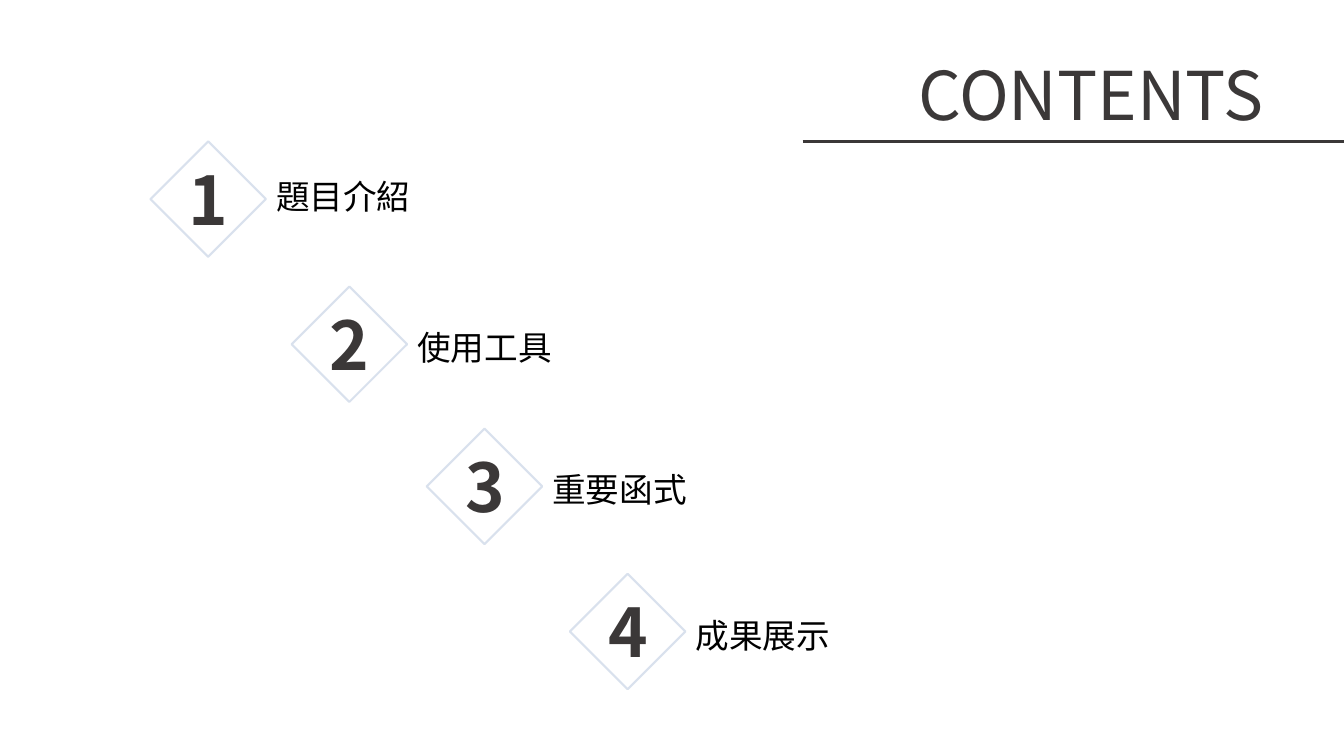
from lxml import etree
from pptx import Presentation
from pptx.dml import color
from pptx.enum import shapes, text
from pptx.oxml import ns
from pptx.util import Inches, Pt

SANS = "Noto Sans CJK SC"
DARK = "3B3838"
# number, label, label font, left, top, label drop, label width
ITEMS = [
    ("1", "題目介紹", "Cambria", 1.57, 1.47, 0.23, 3.05),
    ("2", "使用工具", SANS, 2.97, 2.91, 0.28, 3.21),
    ("3", "重要函式", SANS, 4.31, 4.32, 0.28, 3.05),
    ("4", "成果展示", SANS, 5.73, 5.76, 0.29, 3.05),
]


def rgb(value):
    return color.RGBColor.from_string(value)


def write(shape, words, size, font=SANS, fill="000000", bold=False,
          align=text.PP_ALIGN.LEFT, anchor=text.MSO_ANCHOR.TOP):
    frame = shape.text_frame
    frame.word_wrap = True
    frame.vertical_anchor = anchor
    para = frame.paragraphs[0]
    para.alignment = align
    span = para.add_run()
    span.text = words
    span.font.size = Pt(size)
    span.font.bold = bold
    span.font.name = font
    span.font.color.rgb = rgb(fill)
    east_asian = etree.SubElement(span.font._element, ns.qn("a:ea"))
    east_asian.set("typeface", SANS)


def add_box(group, left, top, width, height):
    return group.shapes.add_textbox(
        Inches(left), Inches(top), Inches(width), Inches(height))


def add_plain(group, kind, left, top, side):
    """Add a square-sized shape with no fill and no shadow."""
    shape = group.shapes.add_shape(
        kind, Inches(left), Inches(top), Inches(side), Inches(side))
    shape.shadow.inherit = False
    shape.fill.background()
    return shape


def add_heading(page, left, top, width, height):
    group = page.shapes.add_group_shape()
    title = add_box(group, left, top, width, height)
    write(title, "CONTENTS", 48, fill=DARK, align=text.PP_ALIGN.CENTER)
    rule_top = Inches(top + 0.92)
    rule = group.shapes.add_connector(
        shapes.MSO_CONNECTOR.STRAIGHT, Inches(left + 0.17), rule_top,
        Inches(left + 5.77), rule_top)
    rule.line.color.rgb = rgb(DARK)
    rule.line.width = Pt(2)
    etree.SubElement(rule._element.spPr, ns.qn("a:effectLst"))


def add_item(page, number, label, font, left, top, drop, width):
    group = page.shapes.add_group_shape()
    diamond = add_plain(group, shapes.MSO_SHAPE.RECTANGLE,
                        left + 0.09, top + 0.1, 0.81)
    diamond.rotation = 315
    diamond.line.color.rgb = rgb("B6C6DD")
    diamond.line.width = Pt(1.5)
    tint = diamond.line._ln.find(".//" + ns.qn("a:srgbClr"))
    etree.SubElement(tint, ns.qn("a:alpha")).set("val", "51000")

    circle = add_plain(group, shapes.MSO_SHAPE.OVAL, left, top, 1)
    circle.line.fill.background()
    write(circle, number, 48, fill=DARK, bold=True,
          align=text.PP_ALIGN.CENTER, anchor=text.MSO_ANCHOR.MIDDLE)

    caption = add_box(group, left + 1.07, top + drop, width, 0.5)
    write(caption, label, 24, font=font)
    caption.text_frame.auto_size = text.MSO_AUTO_SIZE.SHAPE_TO_FIT_TEXT


def main():
    deck = Presentation()
    deck.slide_width = Inches(13.33)
    deck.slide_height = Inches(7.5)
    page = deck.slides.add_slide(deck.slide_layouts[6])
    add_heading(page, 7.79, 0.48, 6.06, 0.91)
    for item in ITEMS:
        add_item(page, *item)
    deck.save("out.pptx")


if __name__ == "__main__":
    main()
